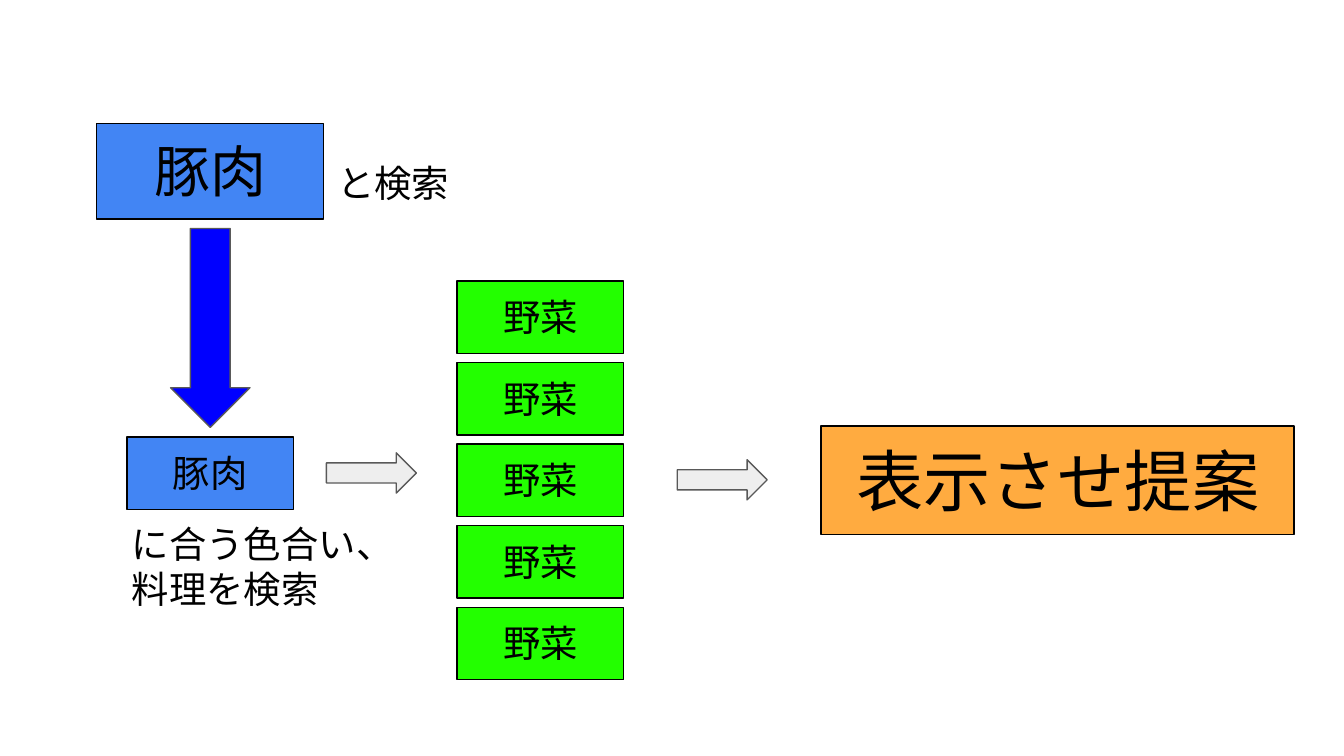
from pptx import Presentation
from pptx import util as u
from pptx.dml.color import RGBColor
from pptx.enum import shapes, text

BLUE, GREEN, ORANGE = "4285F4", "23FF00", "FFAB40"
BLACK, GRAY, LIGHT, DEEP_BLUE = "000000", "595959", "EEEEEE", "0000FF"
SHAPE = shapes.MSO_SHAPE
CARD_W, CARD_H = 3.15, 1.37


def color(fmt, value):
    fmt.rgb = RGBColor.from_string(value)


def write(sp, content, size=20, align=text.PP_ALIGN.LEFT, font="Arial", fill=BLACK):
    tf = sp.text_frame
    tf.word_wrap = True
    tf.auto_size = text.MSO_AUTO_SIZE.SHAPE_TO_FIT_TEXT
    tf.vertical_anchor = text.MSO_ANCHOR.TOP
    tf.margin_left = tf.margin_right = tf.margin_top = tf.margin_bottom = u.Cm(0.25)
    for i, line in enumerate(content.split("\n")):
        p = tf.paragraphs[0] if i == 0 else tf.add_paragraph()
        p.alignment = align
        r = p.add_run()
        r.text = line
        r.font.name = font
        r.font.size = u.Pt(size)
        color(r.font.color, fill)


def shape(s, kind, x, y, w, h, fill, line):
    sp = s.shapes.add_shape(kind, u.Cm(x), u.Cm(y), u.Cm(w), u.Cm(h))
    sp.shadow.inherit = False
    sp.fill.solid()
    color(sp.fill.fore_color, fill)
    color(sp.line.color, line)
    sp.line.width = u.Pt(0.75)
    return sp


def card(s, content, x, y, w, h, fill, size=20):
    sp = shape(s, SHAPE.RECTANGLE, x, y, w, h, fill, BLACK)
    write(sp, content, size=size, align=text.PP_ALIGN.CENTER)


def label(s, content, x, y, w, h):
    write(s.shapes.add_textbox(u.Cm(x), u.Cm(y), u.Cm(w), u.Cm(h)), content)


def right_arrow(s, x, y):
    shape(s, SHAPE.RIGHT_ARROW, x, y, 1.7, 0.76, LIGHT, GRAY)


def search_column(s, x, y, w):
    card(s, "豚肉", x, y, w, 1.8, BLUE, size=30)
    label(s, "と検索", x + w, y + 0.43, 2.84, CARD_H)
    shape(s, SHAPE.DOWN_ARROW, x + (w - 1.5) / 2, y + 1.98, 1.5, 3.76, DEEP_BLUE, GRAY)
    card(s, "豚肉", x + (w - CARD_W) / 2, y + 5.92, CARD_W, CARD_H, BLUE)
    label(s, "に合う色合い、\n料理を検索", x + 0.41, y + 7.26, 5.66, 2.24)


def vegetable_column(s, x, y, h, count=5):
    pitch = (h - CARD_H) / (count - 1)
    for i in range(count):
        card(s, "野菜", x, y + i * pitch, CARD_W, CARD_H, GREEN)


def main():
    prs = Presentation()
    prs.slide_width, prs.slide_height = u.Cm(25.4), u.Cm(14.29)
    s = prs.slides.add_slide(prs.slide_layouts[6])
    search_column(s, 1.83, 2.34, 4.29)
    right_arrow(s, 6.17, 8.56)
    vegetable_column(s, 8.64, 5.31, 7.54)
    right_arrow(s, 12.8, 8.69)
    card(s, "表示させ提案", 15.52, 8.05, 8.94, 2.06, ORANGE, size=36)
    prs.save("out.pptx")


if __name__ == "__main__":
    main()
